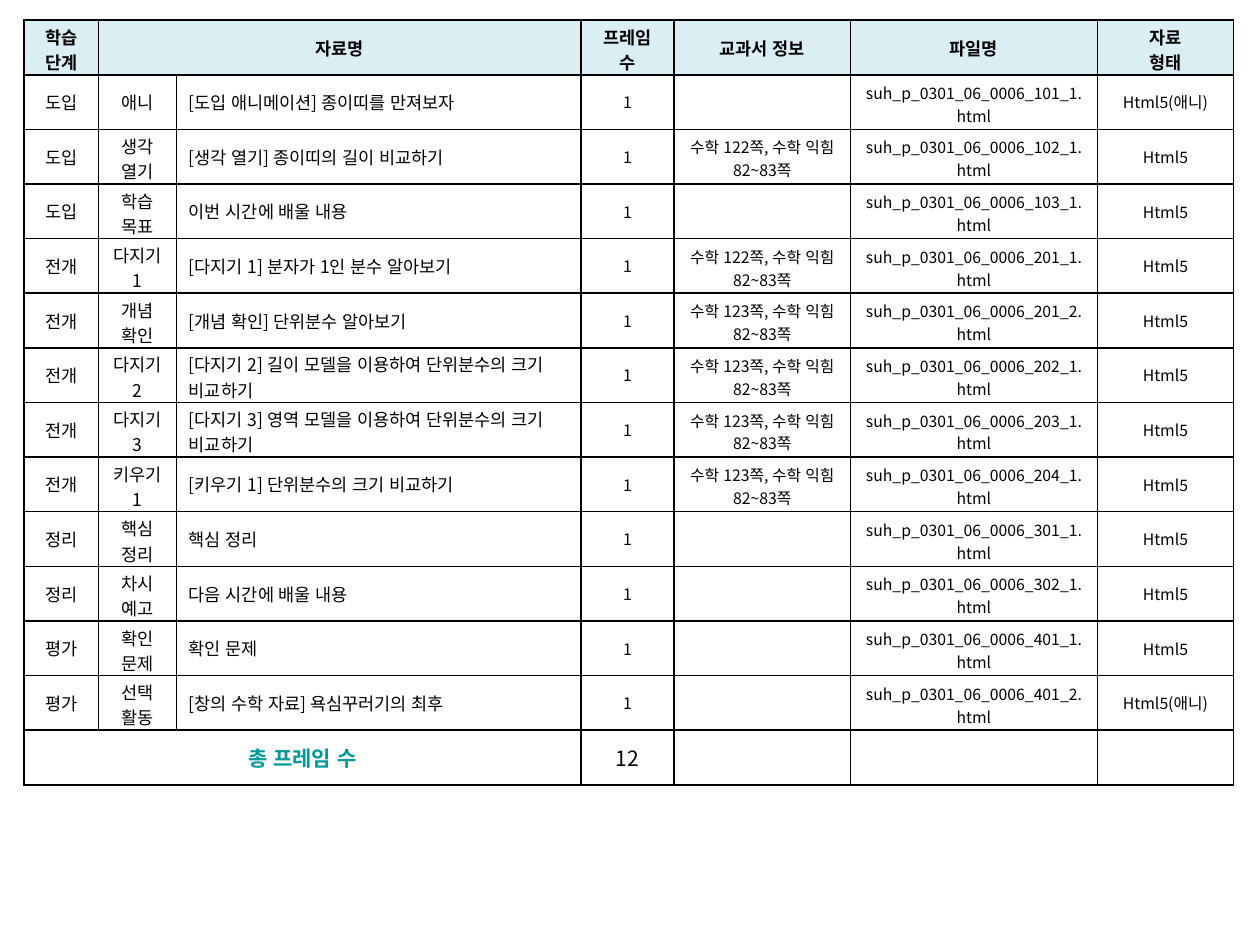
from lxml import etree
from pptx import Presentation
from pptx.dml.color import RGBColor
from pptx.enum.lang import MSO_LANGUAGE_ID
from pptx.enum.text import MSO_ANCHOR, PP_ALIGN
from pptx.oxml.ns import qn
from pptx.util import Inches, Pt

CENTER, LEFT, MIDDLE = PP_ALIGN.CENTER, PP_ALIGN.LEFT, MSO_ANCHOR.MIDDLE
KOREAN = MSO_LANGUAGE_ID.KOREAN
FONT = "Noto Sans CJK KR"
BLACK, WHITE, TEAL, PALE_BLUE = "000000", "FFFFFF", "009999", "DBEEF4"

# Content: stage, activity, material, textbook page, file code, media type
HEADER = ["학습 단계", "자료명", "", "프레임 수", "교과서 정보", "파일명", "자료\n형태"]
LESSONS = [
    ("도입", "애니", "[도입 애니메이션] 종이띠를 만져보자", None, "101_1", "Html5(애니)"),
    ("도입", "생각 열기", "[생각 열기] 종이띠의 길이 비교하기", 122, "102_1", "Html5"),
    ("도입", "학습 목표", "이번 시간에 배울 내용", None, "103_1", "Html5"),
    ("전개", "다지기 1", "[다지기 1] 분자가 1인 분수 알아보기", 122, "201_1", "Html5"),
    ("전개", "개념 확인", "[개념 확인] 단위분수 알아보기", 123, "201_2", "Html5"),
    ("전개", "다지기 2", "[다지기 2] 길이 모델을 이용하여 단위분수의 크기 비교하기",
     123, "202_1", "Html5"),
    ("전개", "다지기 3", "[다지기 3] 영역 모델을 이용하여 단위분수의 크기 비교하기",
     123, "203_1", "Html5"),
    ("전개", "키우기1", "[키우기 1] 단위분수의 크기 비교하기", 123, "204_1", "Html5"),
    ("정리", "핵심 정리", "핵심 정리", None, "301_1", "Html5"),
    ("정리", "차시 예고", "다음 시간에 배울 내용", None, "302_1", "Html5"),
    ("평가", "확인 문제", "확인 문제", None, "401_1", "Html5"),
    ("평가", "선택\n활동", "[창의 수학 자료] 욕심꾸러기의 최후", None, "401_2", "Html5(애니)"),
]
TOTAL = ["총 프레임 수", "", "", str(len(LESSONS)), "", "", ""]
COLUMN_WIDTHS = [0.59, 0.62, 3.21, 0.74, 1.4, 1.96, 1.08]
LINE_CAPACITY = [3, 3, 30, 4, 10, 20, 10]  # characters that fit on one line
TABLE_LEFT, TABLE_TOP, TABLE_HEIGHT = 0.19, 0.16, 6.07
MATERIAL_COLUMN = 2

# Top and bottom cell margins: one line, two small lines, two large lines
ONE_LINE, TWO_SMALL, TWO_LARGE = (0.05, 0.05), (0.05, 0.02), (0.03, 0)


def color(value):
    return RGBColor.from_string(value)


def lesson_row(stage, activity, material, textbook_page, code, media):
    textbook = f"수학 {textbook_page}쪽, 수학 익힘 82~83쪽" if textbook_page else ""
    return [stage, activity, material, "1", textbook,
            f"suh_p_0301_06_0006_{code}.html", media]


def add_borders(cell):
    properties = cell._tc.get_or_add_tcPr()
    for index, side in enumerate(("a:lnL", "a:lnR", "a:lnT", "a:lnB")):
        line = etree.Element(qn(side), w=str(Pt(1)))
        fill = etree.SubElement(line, qn("a:solidFill"))
        etree.SubElement(fill, qn("a:srgbClr"), val=BLACK)
        properties.insert(index, line)


def fill_cell(cell, text, background, wraps, align=CENTER, size=10, bold=False, ink=BLACK):
    cell.fill.solid()
    cell.fill.fore_color.rgb = color(background)
    cell.vertical_anchor = MIDDLE
    margins = ONE_LINE if not wraps else TWO_SMALL if size < 10 else TWO_LARGE
    cell.margin_top, cell.margin_bottom = map(Inches, margins)
    cell.text = text
    for para in cell.text_frame.paragraphs:
        para.alignment = align
        fonts = [span.font for span in para.runs]
        if not fonts:
            # An empty cell still needs a small font to keep the row height
            end = etree.SubElement(para._p, qn("a:endParaRPr"))
            end.set("sz", str(size * 100))
        for font in fonts:
            for name, value in {"name": FONT, "size": Pt(size), "bold": bold,
                                "language_id": KOREAN}.items():
                setattr(font, name, value)
            font.color.rgb = color(ink)
            east_asian = etree.SubElement(font._element, qn("a:ea"))
            east_asian.set("typeface", FONT)
    add_borders(cell)


deck = Presentation()
deck.slide_width, deck.slide_height = Inches(10), Inches(7.5)
page = deck.slides.add_slide(deck.slide_layouts[6])

# Table grid with equal rows
rows = [HEADER] + [lesson_row(*lesson) for lesson in LESSONS] + [TOTAL]
last = len(rows) - 1
table = page.shapes.add_table(
    len(rows), len(COLUMN_WIDTHS), Inches(TABLE_LEFT), Inches(TABLE_TOP),
    Inches(sum(COLUMN_WIDTHS)), Inches(TABLE_HEIGHT)).table
table.horz_banding = table.first_row = False
for column, width in zip(table.columns, COLUMN_WIDTHS):
    column.width = Inches(width)

# Cell text and style
for row_index, row in enumerate(rows):
    for column_index, text in enumerate(row):
        wraps = "\n" in text or len(text) > LINE_CAPACITY[column_index]
        style = {"background": WHITE, "wraps": wraps,
                 "size": 10 if column_index <= MATERIAL_COLUMN else 9}
        if row_index == 0:
            style.update(background=PALE_BLUE, size=10, bold=True)
        elif row_index == last:
            style.update(size=12, wraps=False)
            if column_index == 0:
                style.update(bold=True, ink=TEAL)
        elif column_index == MATERIAL_COLUMN:
            style.update(align=LEFT)
        fill_cell(table.cell(row_index, column_index), text, **style)

# Merged header and total labels
table.cell(0, 1).merge(table.cell(0, 2))
table.cell(last, 0).merge(table.cell(last, 2))

deck.save("out.pptx")
